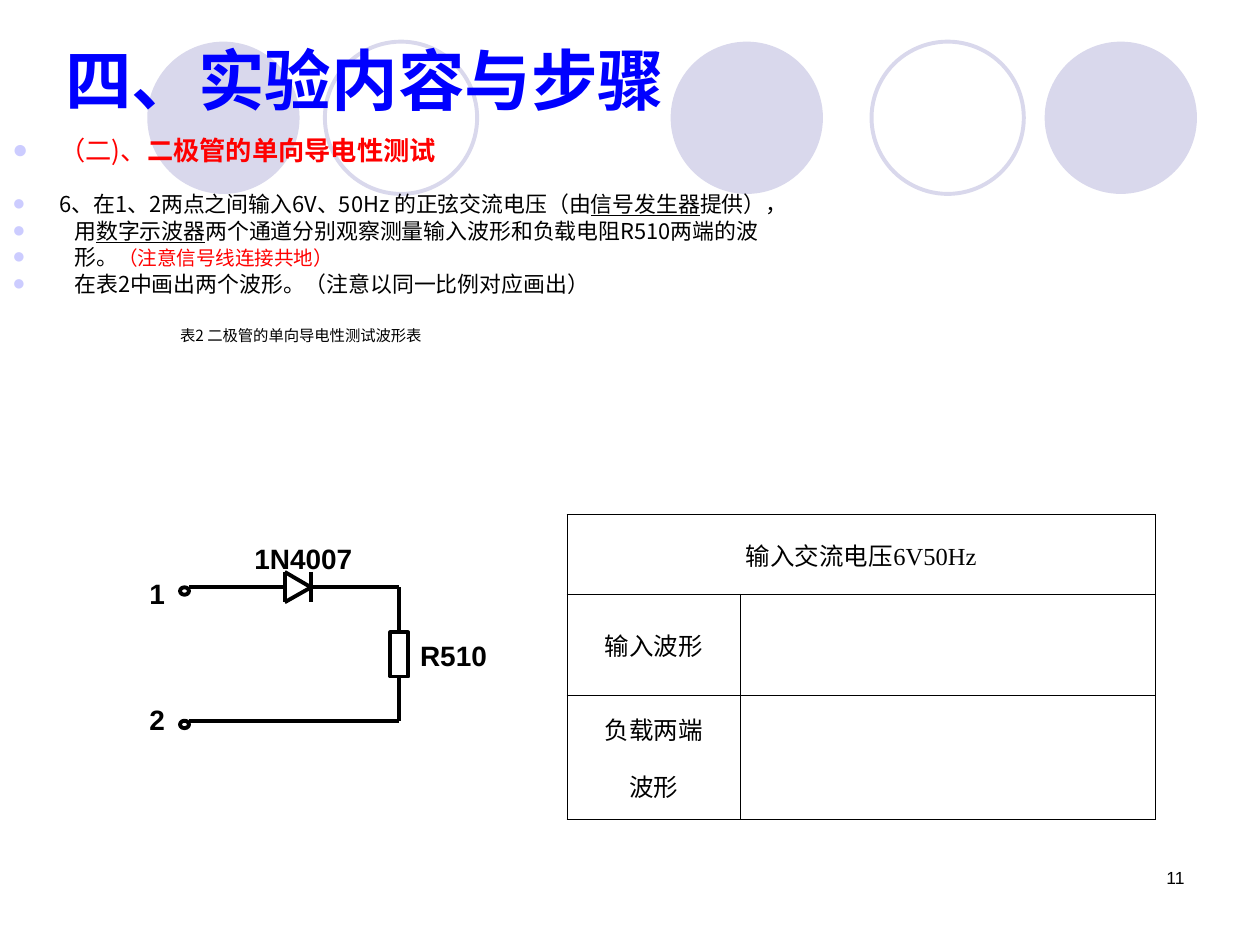
"""Build the slide on testing the one-way conduction of a diode."""
from lxml.etree import SubElement
from pptx import Presentation
from pptx.dml.color import RGBColor
from pptx.enum.shapes import MSO_CONNECTOR as Link, MSO_SHAPE as Preset
from pptx.enum.text import MSO_ANCHOR as Anchor, PP_ALIGN as Align
from pptx.oxml.ns import qn
from pptx.util import Cm, Pt

COLORS = {"black": "000000", "red": "FF0000", "blue": "0000FF",
          "circle": "D9D8EC", "bullet": "CCCCFF"}
CJK = "Noto Sans CJK SC"


def add_span(para, text, size, color="black", bold=False, underline=False, font="Arial"):
    span = para.add_run()
    span.text = text
    span.font.size = Pt(size)
    span.font.bold = bold
    span.font.underline = underline
    span.font.name = font
    span.font.color.rgb = RGBColor.from_string(COLORS[color])
    SubElement(span.font._element, qn("a:ea"), typeface=CJK)


def add_outline(preset, left, top, width, height, color, filled=False):
    shape = page.shapes.add_shape(preset, Cm(left), Cm(top), Cm(width), Cm(height))
    shape.shadow.inherit = False
    if filled:
        shape.fill.solid()
        shape.fill.fore_color.rgb = RGBColor.from_string(COLORS[color])
        shape.line.fill.background()
    else:
        shape.fill.background()
        shape.line.color.rgb = RGBColor.from_string(COLORS[color])
        shape.line.width = Pt(2.25)
    return shape


deck = Presentation()
deck.slide_width, deck.slide_height = Cm(25.4), Cm(19.05)
page = deck.slides.add_slide(deck.slide_layouts[6])

for left, filled in [(13.52, True), (21.06, True), (2.97, True), (17.57, False), (6.55, False)]:
    add_outline(Preset.OVAL, left, 0.84, 3.07, 3.07, "circle", filled)

box = page.shapes.add_textbox(Cm(0), Cm(2.76), Cm(24.76), Cm(6.15))
box.text_frame.word_wrap = True
body = [
    (0, 0.95, True, [("（二)、", 15, "red"), ("二极管的单向导电性测试", 15, "red", True)]),
    (18.5, 0.95, True, [("6、在1、2两点之间输入6V、50Hz 的正弦交流电压（由", 12.5),
                        ("信号发生器", 12.5, "black", False, True), ("提供），", 12.5)]),
    (5, 1.25, True, [("用", 12.5), ("数字示波器", 12.5, "black", False, True),
                     ("两个通道分别观察测量输入波形和负载电阻R510两端的波", 12.5)]),
    (4.5, 1.25, True, [("形。", 12.5), ("（注意信号线连接共地）", 11.2, "red")]),
    (5, 1.25, True, [("在表2中画出两个波形。（注意以同一比例对应画出）", 12.5)]),
    (19.7, 3.38, False, [("表2 二极管的单向导电性测试波形表", 8.8)]),
]
for index, (before, margin, bulleted, spans) in enumerate(body):
    para = box.text_frame.add_paragraph() if index else box.text_frame.paragraphs[0]
    para.line_spacing = 0.7
    para.space_before = Pt(before)
    props = para._p.get_or_add_pPr()
    props.set("marL", str(Cm(margin)))
    props.set("indent", str(-Cm(margin) if bulleted else 0))
    if bulleted:
        SubElement(SubElement(props, qn("a:buClr")), qn("a:srgbClr"), val=COLORS["bullet"])
        SubElement(props, qn("a:buSzPct"), val="100000")
        SubElement(props, qn("a:buFont"), typeface="Arial")
        SubElement(props, qn("a:buChar"), char="●")
    for span in spans:
        add_span(para, *span, font=CJK)

start, anode, cathode, right = 3.81, 5.74, 6.27, 8.05
upper, middle, lower, base = 11.53, 11.84, 12.14, 14.53
resistor = add_outline(Preset.RECTANGLE, 7.87, 12.75, 0.36, 0.89, "black")
for top in (middle, base):
    add_outline(Preset.OVAL, 3.63, top, 0.18, 0.15, "black")
wires = [
    (start, middle, anode, middle, None),
    (anode, upper, anode, lower, None),
    (cathode, middle, right, middle, None),
    (anode, lower, cathode, middle, None),
    (anode, upper, cathode, middle, None),
    (cathode, upper, cathode, lower, None),
    (right, middle, right, 12.75, 0),
    (right, base, right, 13.64, 2),
    (start, base, right, base, None),
]
for *ends, side in wires:
    wire = page.shapes.add_connector(Link.STRAIGHT, *[Cm(end) for end in ends])
    wire.line.color.rgb = RGBColor.from_string(COLORS["black"])
    wire.line.width = Pt(2.25)
    SubElement(wire._element.spPr, qn("a:effectLst"))
    if side is not None:
        wire.end_connect(resistor, side)

labels = [
    ("R510", 8.22, 12.75, 2.1, 0.94, 16, "black", True, Align.LEFT),
    ("1N4007", 4.88, 10.8, 2.9, 0.94, 16, "black", True, Align.LEFT),
    ("1", 2.76, 11.5, 0.9, 0.94, 16, "black", True, Align.LEFT),
    ("2", 2.76, 14.04, 0.9, 0.94, 16, "black", True, Align.LEFT),
    ("11", 18.21, 17.35, 5.92, 1.27, 10, "black", False, Align.RIGHT),
    ("四、实验内容与步骤", 1.07, 0, 22.86, 3.18, 38, "blue", True, Align.LEFT),
]
for text, left, top, width, height, size, color, bold, align in labels:
    box = page.shapes.add_textbox(Cm(left), Cm(top), Cm(width), Cm(height))
    box.text_frame.word_wrap = True
    box.text_frame.vertical_anchor = Anchor.MIDDLE if color == "blue" else Anchor.TOP
    para = box.text_frame.paragraphs[0]
    para.alignment = align
    add_span(para, text, size, color, bold)

columns, rows = [3.5, 8.36], [1.61, 2.03, 2.5]
table = page.shapes.add_table(3, 2, Cm(11.43), Cm(10.37), Cm(sum(columns)), Cm(sum(rows))).table
for column, width in zip(table.columns, columns):
    column.width = Cm(width)
for row, height in zip(table.rows, rows):
    row.height = Cm(height)
table.cell(0, 0).merge(table.cell(0, 1))
for cell in table.iter_cells():
    cell.vertical_anchor = Anchor.MIDDLE
    cell.margin_left = cell.margin_right = Cm(0.2)
    props = cell._tc.get_or_add_tcPr()
    for edge in ("a:lnL", "a:lnR", "a:lnT", "a:lnB"):
        line = SubElement(props, qn(edge), w=str(Pt(0.45)))
        SubElement(SubElement(line, qn("a:solidFill")), qn("a:srgbClr"), val=COLORS["black"])
    cell.fill.background()
for row, lines in enumerate([["输入交流电压6V50Hz"], ["输入波形"], ["负载两端", "波形"]]):
    frame = table.cell(row, 0).text_frame
    for index, text in enumerate(lines):
        para = frame.add_paragraph() if index else frame.paragraphs[0]
        para.alignment = Align.CENTER
        para.space_before = Pt(6 if index else 0)
        para.space_after = Pt(6 if index < len(lines) - 1 else 0)
        add_span(para, text, 14, font="Times New Roman")

deck.save("out.pptx")
